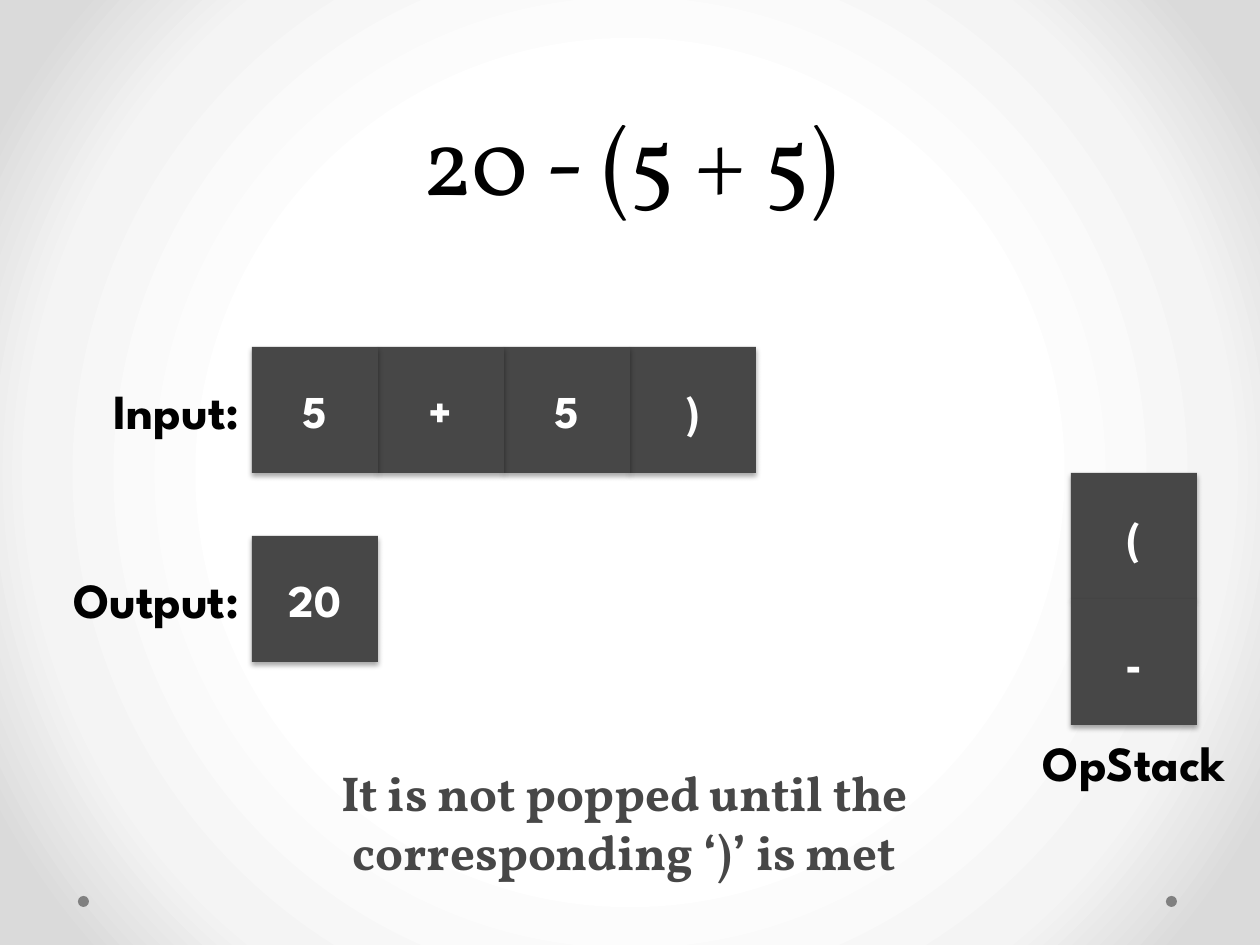
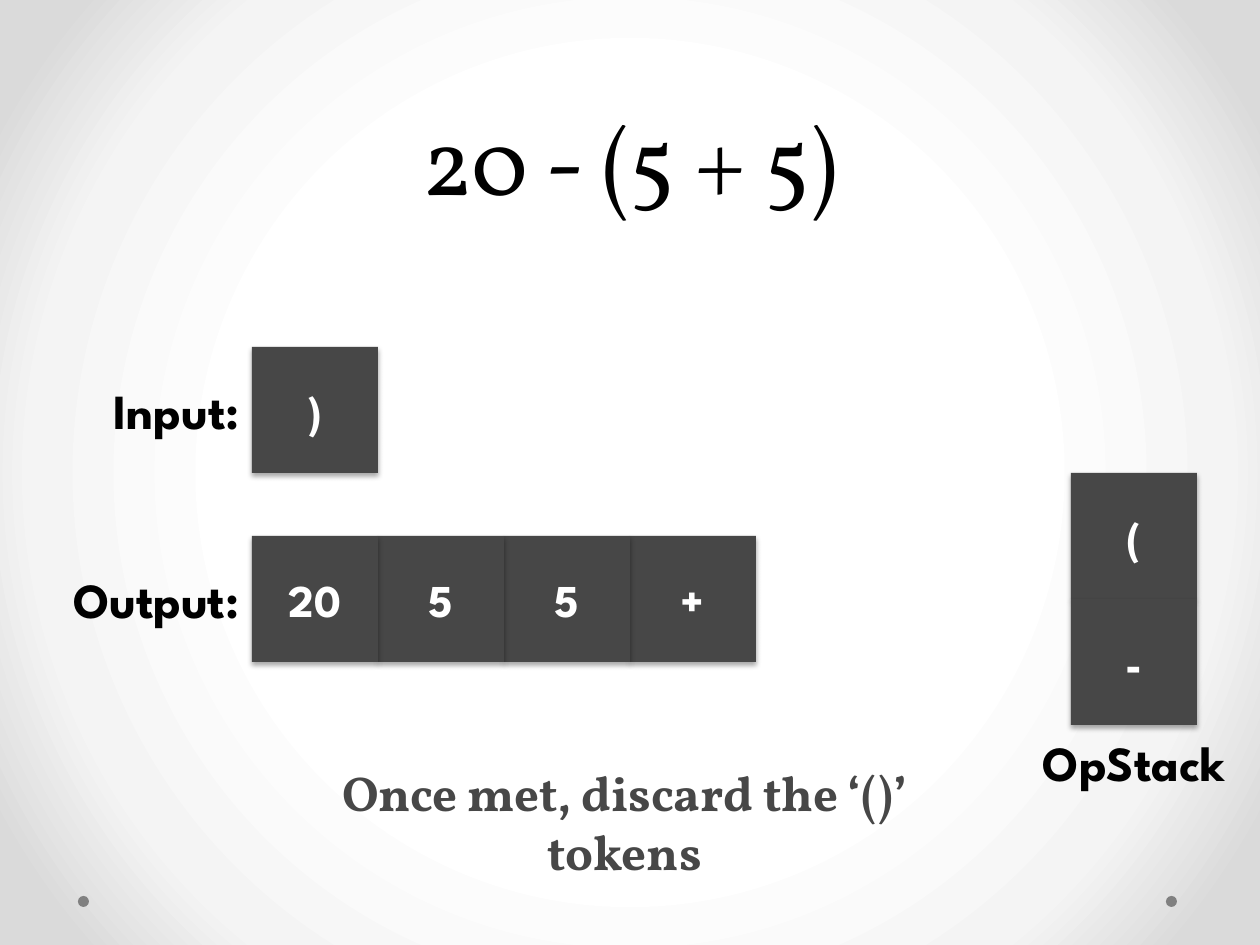
from pptx import Presentation
from pptx.dml.color import RGBColor
from pptx.enum.shapes import MSO_SHAPE as Preset
from pptx.enum.text import MSO_ANCHOR as Anchor, MSO_AUTO_SIZE as AutoSize, PP_ALIGN as Align
from pptx.oxml import parse_xml
from pptx.oxml.ns import nsdecls, qn
from pptx.util import Emu, Pt

PX_PER_INCH = 126
CELL = 126
SANS, SERIF = "League Spartan", "Vollkorn"
BLACK, WHITE, DARK, DOT_GREY = "000000", "FFFFFF", "474747", "808080"
BACKDROP_STOPS = [(50, "FFFFFF"), (76, "F4F4F4"), (92, "DADADA")]

TITLE_BOX = (63, 0, 1134, 221)
INPUT_BOX = (0, 347, 252, CELL)
OUTPUT_BOX = (0, 536, 252, CELL)
STACK_BOX = (1008, 473, 252, 2 * CELL)
CAPTION_BOX = (273, 756, 703, 131)
DOT_LEFTS, DOT_TOP, DOT_SIZE = (1166, 78), 896, 11

EXPRESSION = "20 - (5 + 5)"
STEPS = [
    (["5", "+", "5", ")"], ["20"], ["(", "-"],
     "It is not popped until the corresponding ‘)’ is met"),
    ([")"], ["20", "5", "5", "+"], ["(", "-"],
     "Once met, discard the ‘()’ tokens"),
]


def px(length):
    return Emu(round(length * 914400 / PX_PER_INCH))


def color(hex_value):
    return RGBColor.from_string(hex_value)


def write(shape, text, font_name, size, ink, bold=True, align=Align.CENTER, anchor=Anchor.MIDDLE):
    frame = shape.text_frame
    frame.word_wrap = True
    frame.vertical_anchor = anchor
    frame.text = text
    para = frame.paragraphs[0]
    para.alignment = align
    font = para.runs[0].font
    font.name, font.size, font.bold = font_name, Pt(size), bold
    font.color.rgb = color(ink)


def add_filled(page, preset, box, fill):
    shape = page.shapes.add_shape(preset, *map(px, box))
    shape.shadow.inherit = False
    shape.fill.solid()
    shape.fill.fore_color.rgb = color(fill)
    shape.line.fill.background()
    return shape


def add_token(page, left, top, text):
    cell = add_filled(page, Preset.RECTANGLE, (left, top, CELL, CELL), DARK)
    cell.element.spPr.find(qn("a:effectLst")).append(parse_xml(
        f'<a:outerShdw {nsdecls("a")} blurRad="{Pt(3.1)}" dist="{Pt(1.8)}" dir="5400000" '
        f'rotWithShape="0"><a:srgbClr val="{BLACK}"><a:alpha val="35000"/></a:srgbClr>'
        '</a:outerShdw>'))
    write(cell, text, SANS, 26, WHITE)


def add_text(page, box, text, font_name, ink, **layout):
    label = page.shapes.add_textbox(*map(px, box))
    write(label, text, font_name, 28, ink, **layout)
    label.text_frame.auto_size = AutoSize.SHAPE_TO_FIT_TEXT


def add_queue(page, box, name, tokens):
    """Place a name in the box and a row of tokens to its right."""
    left, top, width, _ = box
    add_text(page, box, name, SANS, BLACK, align=Align.RIGHT)
    for index, token in reversed(list(enumerate(tokens))):
        add_token(page, left + width + index * CELL, top, token)


def add_stack(page, box, tokens):
    """Pile the tokens up on the floor of the box and name them below it."""
    left, top, width, height = box
    floor = top + height
    for index, token in enumerate(tokens):
        add_token(page, left + (width - CELL) // 2,
                  floor - (len(tokens) - index) * CELL, token)
    add_text(page, (left, floor + 1, width, 72), "OpStack", SANS, BLACK, anchor=Anchor.TOP)


def add_title(page, box, text):
    title = page.shapes.title
    title.left, title.top, title.width, title.height = map(px, box)
    write(title, text, SERIF, 54, BLACK, bold=False, anchor=Anchor.BOTTOM)
    title.text_frame.auto_size = AutoSize.NONE
    title.text_frame.paragraphs[0].line_spacing = Pt(58)


def add_dots(page):
    for left in DOT_LEFTS:
        add_filled(page, Preset.OVAL, (left, DOT_TOP, DOT_SIZE, DOT_SIZE), DOT_GREY)


def set_backdrop(master):
    master.background.fill.solid()
    properties = master.element.cSld.bg.bgPr
    stops = "".join(f'<a:gs pos="{position * 1000}"><a:srgbClr val="{tint}"/></a:gs>'
                    for position, tint in BACKDROP_STOPS)
    properties.replace(properties[0], parse_xml(
        f'<a:gradFill {nsdecls("a")} rotWithShape="1"><a:gsLst>{stops}</a:gsLst>'
        '<a:path path="circle"><a:fillToRect l="50000" t="50000" r="50000" b="50000"/>'
        '</a:path></a:gradFill>'))


def add_step(deck, inputs, outputs, operators, caption):
    page = deck.slides.add_slide(deck.slide_layouts.get_by_name("Title Only"))
    add_dots(page)
    add_title(page, TITLE_BOX, EXPRESSION)
    add_queue(page, INPUT_BOX, "Input:", inputs)
    add_queue(page, OUTPUT_BOX, "Output:", outputs)
    add_stack(page, STACK_BOX, operators)
    add_text(page, CAPTION_BOX, caption, SERIF, DARK, anchor=Anchor.TOP)


def main():
    deck = Presentation()
    deck.slide_width, deck.slide_height = px(1260), px(945)
    set_backdrop(deck.slide_master)
    for step in STEPS:
        add_step(deck, *step)
    deck.save("out.pptx")


if __name__ == "__main__":
    main()
